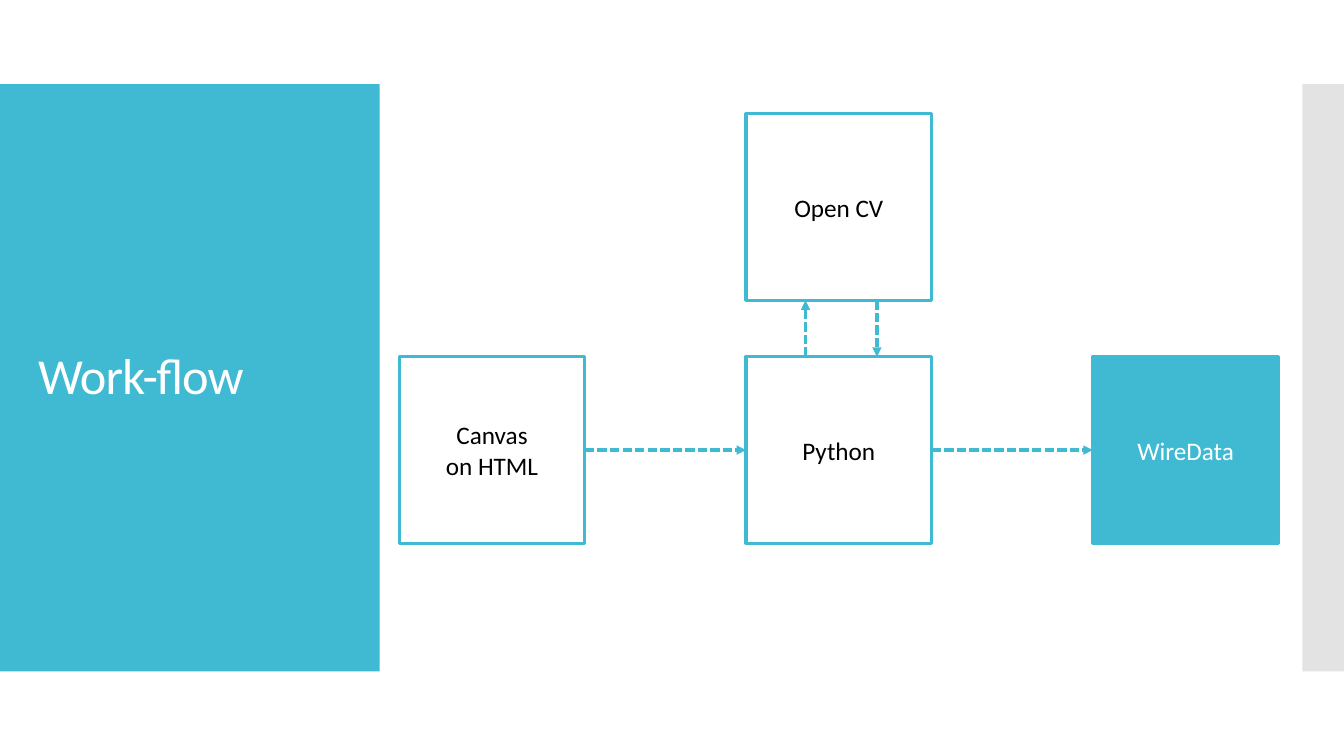
from lxml import etree
from pptx import Presentation, util as u
from pptx.dml.color import RGBColor
from pptx.enum import dml, shapes, text
from pptx.oxml import ns

HUES = {"teal": "40BAD2", "white": "FFFFFF", "black": "000000", "grey": "C8C8C8"}
SIZE = 4.68, 4.7


def hue(name):
    return RGBColor.from_string(HUES[name])


def add_sub(node, tag, **attrs):
    return etree.SubElement(node, ns.qn(tag), **attrs)


def add_rect(slide, box, fill, line=None):
    rect = slide.shapes.add_shape(shapes.MSO_SHAPE.RECTANGLE, *map(u.Cm, box))
    rect.shadow.inherit = False
    rect.fill.solid()
    rect.fill.fore_color.rgb = hue(fill)
    if line:
        rect.line.color.rgb = hue(line)
        rect.line.width = u.Pt(2.25)
    else:
        rect.line.fill.background()
    return rect


def style(para, size, color):
    para.font.size = u.Pt(size)
    para.font.name = "Calibri"
    para.font.color.rgb = hue(color)


def add_panel(slide, box):
    left, top, width, height = box
    add_rect(slide, box, "teal")
    area = left + 0.71, top + 1.01, width - 1.4, height - 2.02
    frame = slide.shapes.add_textbox(*map(u.Cm, area)).text_frame
    frame.word_wrap = True
    frame.vertical_anchor = text.MSO_ANCHOR.MIDDLE
    para = frame.paragraphs[0]
    run = para.add_run()
    run.text = "Work-flow"
    para.line_spacing = 0.9
    style(para, 36, "white")
    run._r.get_or_add_rPr().set("spc", "-60")


def add_strip(slide, box):
    strip = add_rect(slide, box, "grey")
    tint = strip._element.spPr.find(".//" + ns.qn("a:srgbClr"))
    add_sub(tint, "a:alpha", val="50000")


def add_step(slide, spot, label, fill="white", ink="black"):
    frame = add_rect(slide, spot + SIZE, fill, "teal").text_frame
    frame.text = label
    frame.word_wrap = True
    frame.vertical_anchor = text.MSO_ANCHOR.MIDDLE
    for para in frame.paragraphs:
        para.alignment = text.PP_ALIGN.CENTER
        style(para, 18, ink)


def add_arrow(slide, *ends):
    arrow = slide.shapes.add_connector(shapes.MSO_CONNECTOR.STRAIGHT, *map(u.Cm, ends))
    arrow.line.color.rgb = hue("teal")
    arrow.line.width = u.Pt(2.25)
    arrow.line.dash_style = dml.MSO_LINE.SQUARE_DOT
    add_sub(arrow.line._get_or_add_ln(), "a:tailEnd", type="triangle")
    add_sub(arrow._element.spPr, "a:effectLst")


def add_flow(slide, box):
    left, top, width, height = box
    wide, tall = SIZE
    pitch = (width - wide) / 2
    cols = [left + pitch * i for i in range(3)]
    low = top + height - tall
    mid = low + tall / 2
    add_step(slide, (cols[0], low), "Canvas\non HTML")
    add_step(slide, (cols[1], low), "Python")
    add_step(slide, (cols[1], top), "Open CV")
    add_step(slide, (cols[2], low), "WireData", "teal", "white")
    for start, end in zip(cols, cols[1:]):
        add_arrow(slide, start + wide, mid, end, mid)
    up, down = cols[1] + 1.5, cols[1] + 3.3
    add_arrow(slide, up, low, up, top + tall)
    add_arrow(slide, down, top + tall, down, low)


def main():
    deck = Presentation()
    deck.slide_width, deck.slide_height = u.Cm(33.87), u.Cm(19.05)
    slide = deck.slides.add_slide(deck.slide_layouts[6])
    add_panel(slide, (0, 2.12, 9.57, 14.8))
    add_strip(slide, (32.82, 2.12, 1.05, 14.8))
    add_flow(slide, (10.06, 2.87, 22.16, 10.82))
    deck.save("out.pptx")


if __name__ == "__main__":
    main()
